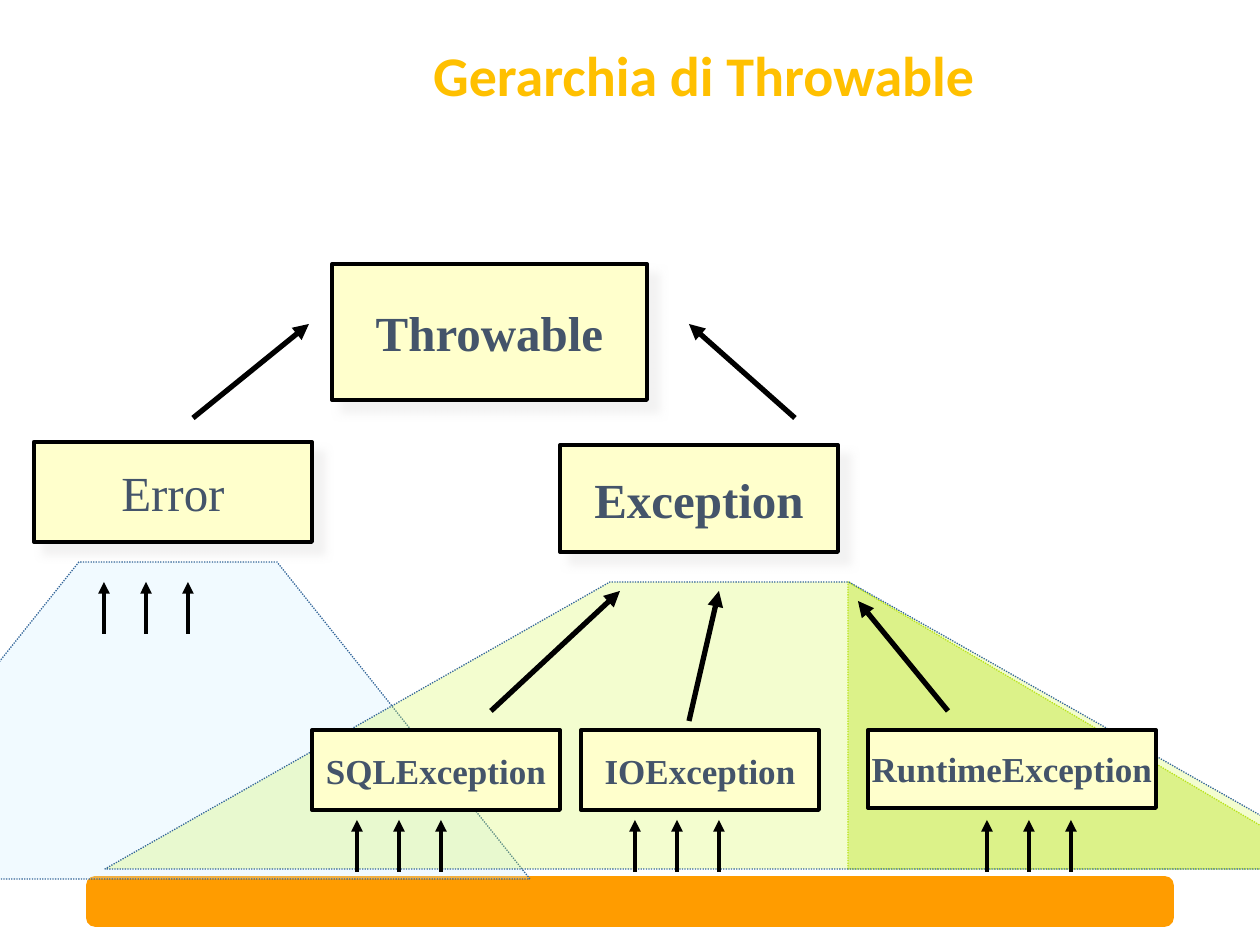
from lxml import etree
from pptx import Presentation
from pptx.dml.color import RGBColor
from pptx.enum.dml import MSO_LINE
from pptx.enum.shapes import MSO_CONNECTOR, MSO_SHAPE
from pptx.enum.text import MSO_ANCHOR, PP_ALIGN
from pptx.oxml.ns import qn
from pptx.util import Pt

PIXEL = 914400 // 126
RECTANGLE, ROUNDED, TRIANGLE = MSO_SHAPE.RECTANGLE, MSO_SHAPE.ROUNDED_RECTANGLE, MSO_SHAPE.RIGHT_TRIANGLE
STRAIGHT, DOTTED = MSO_CONNECTOR.STRAIGHT, MSO_LINE.ROUND_DOT
CENTER, MIDDLE = PP_ALIGN.CENTER, MSO_ANCHOR.MIDDLE
COLORS = {
    "title": "FFC000", "bar": "FF9C00", "box": "FFFFCC", "text": "44546A",
    "black": "000000", "shadow": "E7E6E6", "outline": "336699",
    "error": "CCECFF", "exception": "D2F846", "runtime": "AFDC08",
}


class HierarchySlide:
    """Draws the parts of a class hierarchy on one slide, measured in pixels."""

    def __init__(self, slide):
        self.shapes = slide.shapes

    def color(self, name):
        return RGBColor.from_string(COLORS[name])

    def paint(self, shape, fill, line, width, opacity=None):
        shape.shadow.inherit = False
        shape.fill.solid()
        shape.fill.fore_color.rgb = self.color(fill)
        shape.line.color.rgb = self.color(line)
        shape.line.width = Pt(width)
        if opacity:
            shape.line.dash_style = DOTTED
            tint = shape._element.spPr.find(qn("a:solidFill"))[0]
            etree.SubElement(tint, qn("a:alpha"), val=str(opacity * 1000))

    def block(self, kind, bounds, fill, line, width, opacity=None):
        shape = self.shapes.add_shape(kind, *(value * PIXEL for value in bounds))
        self.paint(shape, fill, line, width, opacity)
        return shape

    def trapezoid(self, points, fill):
        builder = self.shapes.build_freeform(*points[0], scale=PIXEL)
        builder.add_line_segments(points[1:], close=True)
        self.paint(builder.convert_to_shape(), fill, "outline", 0.75, 26)

    def label(self, shape, text, font, size, color, bold, wrap):
        frame = shape.text_frame
        frame.word_wrap = wrap
        frame.vertical_anchor = MIDDLE
        para = frame.paragraphs[0]
        para.text = text
        para.alignment = CENTER
        para.font.name = font
        para.font.size = Pt(size)
        para.font.bold = bold
        para.font.color.rgb = self.color(color)
        return para

    def title(self, text, bounds):
        box = self.shapes.add_textbox(*(value * PIXEL for value in bounds))
        self.label(box, text, "Calibri", 32, "title", True, True).line_spacing = 0.9

    def class_box(self, text, bounds, size, bold=True, shadow=False):
        box = self.block(RECTANGLE, bounds, "box", "black", 2.25)
        self.label(box, text, "Times New Roman", size, "text", bold, False)
        if shadow:
            effects = box._element.spPr.find(qn("a:effectLst"))
            outer = etree.SubElement(effects, qn("a:outerShdw"), blurRad=str(Pt(5)),
                                     dist=str(Pt(8.5)), dir="2700000", algn="ctr", rotWithShape="0")
            tint = etree.SubElement(outer, qn("a:srgbClr"), val=COLORS["shadow"])
            etree.SubElement(tint, qn("a:alpha"), val="50000")

    def arrow(self, start, end, width):
        ends = (value * PIXEL for value in (*start, *end))
        arrow = self.shapes.add_connector(STRAIGHT, *ends)
        arrow.line.color.rgb = self.color("black")
        arrow.line.width = Pt(width)
        properties = arrow._element.spPr
        etree.SubElement(properties.find(qn("a:ln")), qn("a:tailEnd"), type="triangle")
        etree.SubElement(properties, qn("a:effectLst"))

    def arrow_trio(self, left, bottom):
        for x in range(left, left + 3 * 42, 42):
            self.arrow((x, bottom), (x, bottom - 52), 2.25)


deck = Presentation()
deck.slide_width, deck.slide_height = 1260 * PIXEL, 945 * PIXEL
page = HierarchySlide(deck.slides.add_slide(deck.slide_layouts[6]))

page.block(ROUNDED, (87, 877, 1086, 49), "bar", "bar", 1)
page.block(TRIANGLE, (848, 582, 486, 287), "runtime", "runtime", 0.75, 38)
page.trapezoid([(530, 879), (277, 562), (79, 562), (-174, 879)], "error")
page.trapezoid([(1355, 869), (849, 582), (610, 582), (105, 869)], "exception")
page.title("Gerarchia di Throwable", (74, 26, 1260, 105))

page.class_box("Throwable", (332, 264, 315, 136), 28, shadow=True)
page.class_box("Error", (34, 442, 278, 100), 28, bold=False, shadow=True)
page.class_box("Exception", (560, 445, 278, 107), 28, shadow=True)
page.class_box("SQLException", (312, 730, 248, 80), 20)
page.class_box("IOException", (581, 730, 238, 80), 20)
page.class_box("RuntimeException", (868, 730, 288, 78), 20)

for start, end in [
    ((193, 418), (309, 324)),
    ((795, 418), (689, 324)),
    ((491, 711), (620, 591)),
    ((689, 721), (719, 591)),
    ((948, 711), (858, 601)),
]:
    page.arrow(start, end, 3)

for left, bottom in [(104, 634), (357, 872), (635, 872), (987, 872)]:
    page.arrow_trio(left, bottom)

deck.save("out.pptx")
